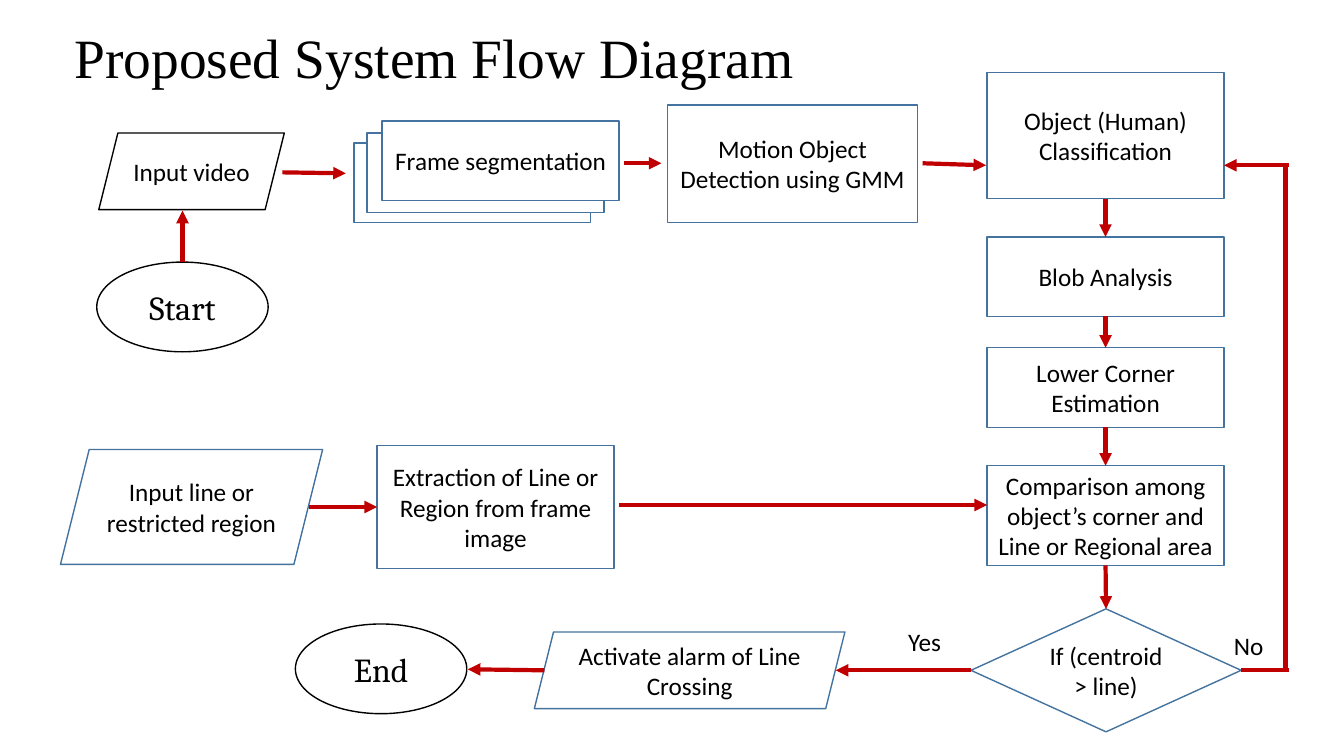
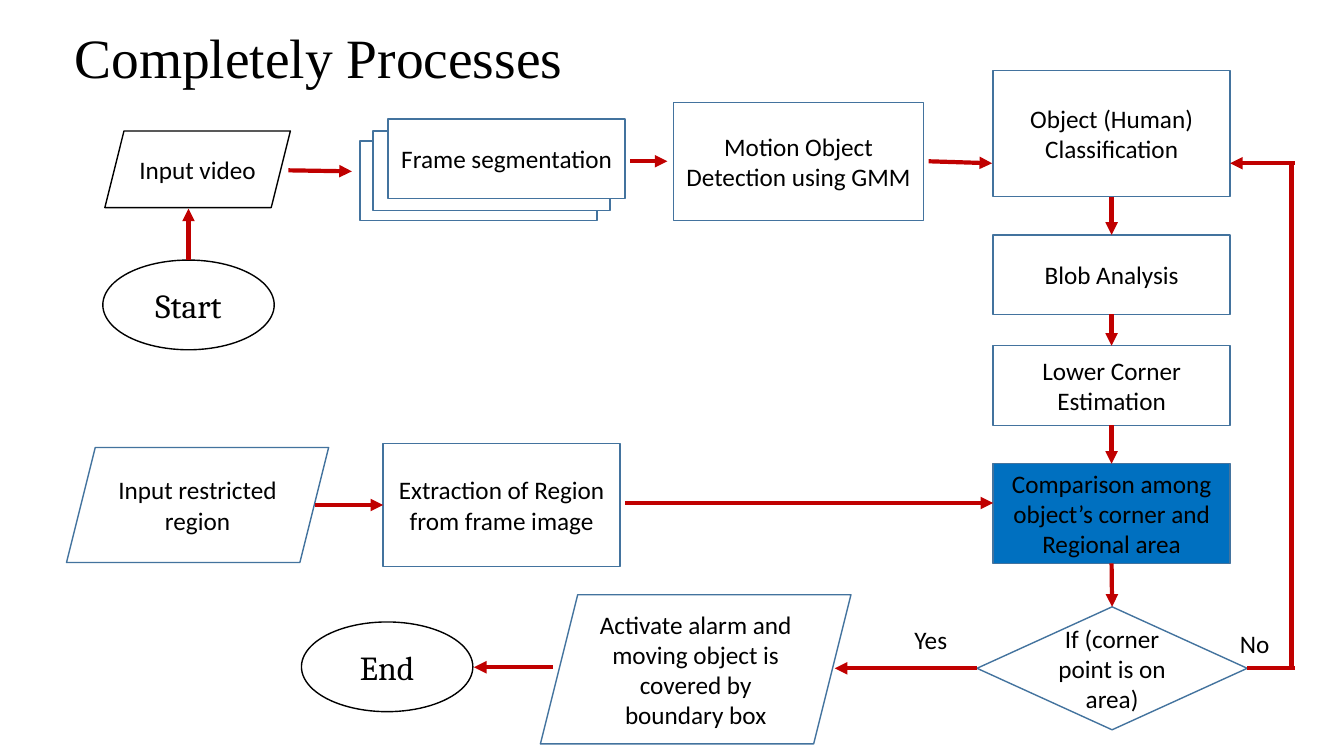
from dataclasses import dataclass, replace
from typing import Optional, Union

from lxml.etree import SubElement
from pptx import Presentation
from pptx.dml.color import RGBColor
from pptx.enum.shapes import MSO_CONNECTOR, MSO_SHAPE
from pptx.enum.text import MSO_ANCHOR, MSO_AUTO_SIZE, PP_ALIGN
from pptx.oxml.ns import qn
from pptx.shapes.autoshape import Shape
from pptx.slide import Slide
from pptx.text.text import TextFrame
from pptx.util import Pt

EMU_PER_PX = 9144
SLIDE_SIZE = (1333, 750)
COLORS = {
    "ink": "000000",
    "paper": "FFFFFF",
    "outline": "43739E",
    "arrow": "C00000",
    "highlight": "0070C0",
}
TOP, LEFT, BOTTOM, RIGHT = range(4)
COLUMN_LEFT, BOX_WIDTH, BOX_HEIGHT = 979, 235, 79


@dataclass(frozen=True)
class Node:
    key: str
    kind: MSO_SHAPE
    left: int
    top: int
    width: int
    height: int
    text: str = ""
    line: str = "outline"
    fill: Optional[str] = None
    font: str = "Calibri"
    size: int = 18


@dataclass(frozen=True)
class Point:
    x: int
    y: int


@dataclass(frozen=True)
class Joint:
    key: str
    site: int


End = Union[Point, Joint]


@dataclass(frozen=True)
class Link:
    begin: End
    end: End
    arrowhead: bool = True


@dataclass(frozen=True)
class Label:
    text: str
    left: int
    top: int
    width: int
    height: int


@dataclass(frozen=True)
class Flow:
    title: str
    origin: Point
    changes: dict[str, dict]
    alarm_links: tuple[Link, ...]


def box(key: str, left: int, top: int, text: str = "", width: int = BOX_WIDTH,
        height: int = BOX_HEIGHT, fill: Optional[str] = None) -> Node:
    return Node(key, MSO_SHAPE.RECTANGLE, left, top, width, height, text, fill=fill)


def terminal(key: str, left: int, top: int, text: str) -> Node:
    return Node(key, MSO_SHAPE.OVAL, left, top, 170, 89, text, "ink", "paper", "Cambria", 24)


NODES = (
    box("back frame", 351, 142),
    box("middle frame", 364, 132, fill="paper"),
    box("front frame", 379, 120, "Frame segmentation", fill="paper"),
    box("motion", 662, 104, "Motion Object Detection using GMM", 248, 117),
    Node("video", MSO_SHAPE.PARALLELOGRAM, 98, 132, 184, 76, "Input video", "ink"),
    Node("region", MSO_SHAPE.PARALLELOGRAM, 60, 446, 260, 114,
         "Input line or restricted region"),
    box("extraction", 374, 442, "Extraction of Line or Region from frame image", height=122),
    box("classification", COLUMN_LEFT, 72, "Object (Human) Classification", height=125),
    box("blob", COLUMN_LEFT, 235, "Blob Analysis"),
    box("corner", COLUMN_LEFT, 345, "Lower Corner Estimation"),
    box("comparison", COLUMN_LEFT, 462,
        "Comparison among object’s corner and Line or Regional area", height=99),
    Node("decision", MSO_SHAPE.DIAMOND, 963, 604, 268, 122, "If (centroid > line)"),
    Node("alarm", MSO_SHAPE.PARALLELOGRAM, 530, 627, 308, 76,
         "Activate alarm of Line Crossing"),
    terminal("start", 96, 260, "Start"),
    terminal("end", 293, 619, "End"),
)
COLUMN = ("classification", "blob", "corner", "comparison", "decision")
LINKS = (
    Link(Joint("start", TOP), Point(181, 209)),
    Link(Point(280, 171), Point(343, 172)),
    Link(Point(619, 162), Point(656, 162)),
    Link(Point(915, 162), Point(978, 164)),
    Link(Point(306, 503), Joint("extraction", LEFT)),
    Link(Point(614, 501), Point(979, 501)),
    *(Link(Joint(upper, BOTTOM), Joint(lower, TOP))
      for upper, lower in zip(COLUMN, COLUMN[1:])),
    Link(Joint("decision", RIGHT), Point(1278, 665), arrowhead=False),
    Link(Point(1275, 665), Point(1275, 162), arrowhead=False),
    Link(Point(1278, 164), Point(1214, 164)),
)
LABELS = (Label("Yes", 891, 616, 87, 40), Label("No", 1214, 620, 53, 40))
FLOWS = (
    Flow(
        "Proposed System Flow Diagram",
        Point(0, 0),
        {},
        (
            Link(Joint("decision", LEFT), Point(829, 665)),
            Link(Point(540, 665), Point(464, 664)),
        ),
    ),
    Flow(
        "Completely Processes",
        Point(6, -2),
        {
            "region": {"text": "Input restricted region"},
            "extraction": {"text": "Extraction of Region from frame image"},
            "comparison": {
                "text": "Comparison among object’s corner and Regional area",
                "fill": "highlight",
            },
            "decision": {"text": "If (corner point is on area)"},
            "alarm": {
                "text": "Activate alarm and moving object is covered by boundary box",
                "top": 592,
                "height": 148,
            },
        },
        (
            Link(Joint("decision", LEFT), Point(822, 665)),
            Link(Point(542, 664), Point(464, 664)),
        ),
    ),
)


def px(length: int) -> int:
    return length * EMU_PER_PX


def color(name: str) -> RGBColor:
    return RGBColor.from_string(COLORS[name])


def write_text(frame: TextFrame, text: str, font: str, size: float,
               alignment: PP_ALIGN = PP_ALIGN.LEFT,
               anchor: MSO_ANCHOR = MSO_ANCHOR.MIDDLE) -> None:
    frame.word_wrap = True
    frame.vertical_anchor = anchor
    paragraph = frame.paragraphs[0]
    paragraph.text = text
    paragraph.alignment = alignment
    paragraph.font.name = font
    paragraph.font.size = Pt(size)
    paragraph.font.color.rgb = color("ink")


def add_title(slide: Slide, title: str) -> None:
    frame = slide.shapes.add_textbox(px(64), px(25), px(1150), px(70)).text_frame
    write_text(frame, title, "Times New Roman", 39.6)
    frame.paragraphs[0].line_spacing = 0.9


def add_node(slide: Slide, node: Node, origin: Point) -> Shape:
    shape = slide.shapes.add_shape(
        node.kind, px(node.left + origin.x), px(node.top + origin.y),
        px(node.width), px(node.height))
    shape.shadow.inherit = False
    shape.line.color.rgb = color(node.line)
    shape.line.width = Pt(1)
    if node.fill:
        shape.fill.solid()
        shape.fill.fore_color.rgb = color(node.fill)
    else:
        shape.fill.background()
    if node.text:
        frame = shape.text_frame
        if node.kind == MSO_SHAPE.RECTANGLE:
            frame.margin_left = frame.margin_right = px(1)
            frame.margin_top = frame.margin_bottom = px(1)
        write_text(frame, node.text, node.font, node.size, PP_ALIGN.CENTER)
    return shape


def locate(end: End, shapes: dict[str, Shape], origin: Point) -> tuple[int, int]:
    if isinstance(end, Point):
        return px(end.x + origin.x), px(end.y + origin.y)
    shape = shapes[end.key]
    across, down = {TOP: (1, 0), LEFT: (0, 1), BOTTOM: (1, 2), RIGHT: (2, 1)}[end.site]
    return shape.left + shape.width * across // 2, shape.top + shape.height * down // 2


def add_link(slide: Slide, link: Link, shapes: dict[str, Shape], origin: Point) -> None:
    connector = slide.shapes.add_connector(
        MSO_CONNECTOR.STRAIGHT,
        *locate(link.begin, shapes, origin), *locate(link.end, shapes, origin))
    if isinstance(link.begin, Joint):
        connector.begin_connect(shapes[link.begin.key], link.begin.site)
    if isinstance(link.end, Joint):
        connector.end_connect(shapes[link.end.key], link.end.site)
    connector.line.color.rgb = color("arrow")
    connector.line.width = Pt(3)
    if link.arrowhead:
        SubElement(connector.line._get_or_add_ln(), qn("a:tailEnd"), type="triangle")
    SubElement(connector._element.spPr, qn("a:effectLst"))


def add_label(slide: Slide, label: Label, origin: Point) -> None:
    frame = slide.shapes.add_textbox(
        px(label.left + origin.x), px(label.top + origin.y),
        px(label.width), px(label.height)).text_frame
    write_text(frame, label.text, "Calibri", 18, anchor=MSO_ANCHOR.TOP)
    frame.auto_size = MSO_AUTO_SIZE.SHAPE_TO_FIT_TEXT


def add_flow(slide: Slide, flow: Flow) -> None:
    add_title(slide, flow.title)
    shapes = {
        node.key: add_node(slide, replace(node, **flow.changes.get(node.key, {})), flow.origin)
        for node in NODES
    }
    for link in LINKS + flow.alarm_links:
        add_link(slide, link, shapes, flow.origin)
    for label in LABELS:
        add_label(slide, label, flow.origin)


def main() -> None:
    presentation = Presentation()
    presentation.slide_width, presentation.slide_height = map(px, SLIDE_SIZE)
    blank_layout = presentation.slide_layouts[6]
    for flow in FLOWS:
        add_flow(presentation.slides.add_slide(blank_layout), flow)
    presentation.save("out.pptx")


if __name__ == "__main__":
    main()
